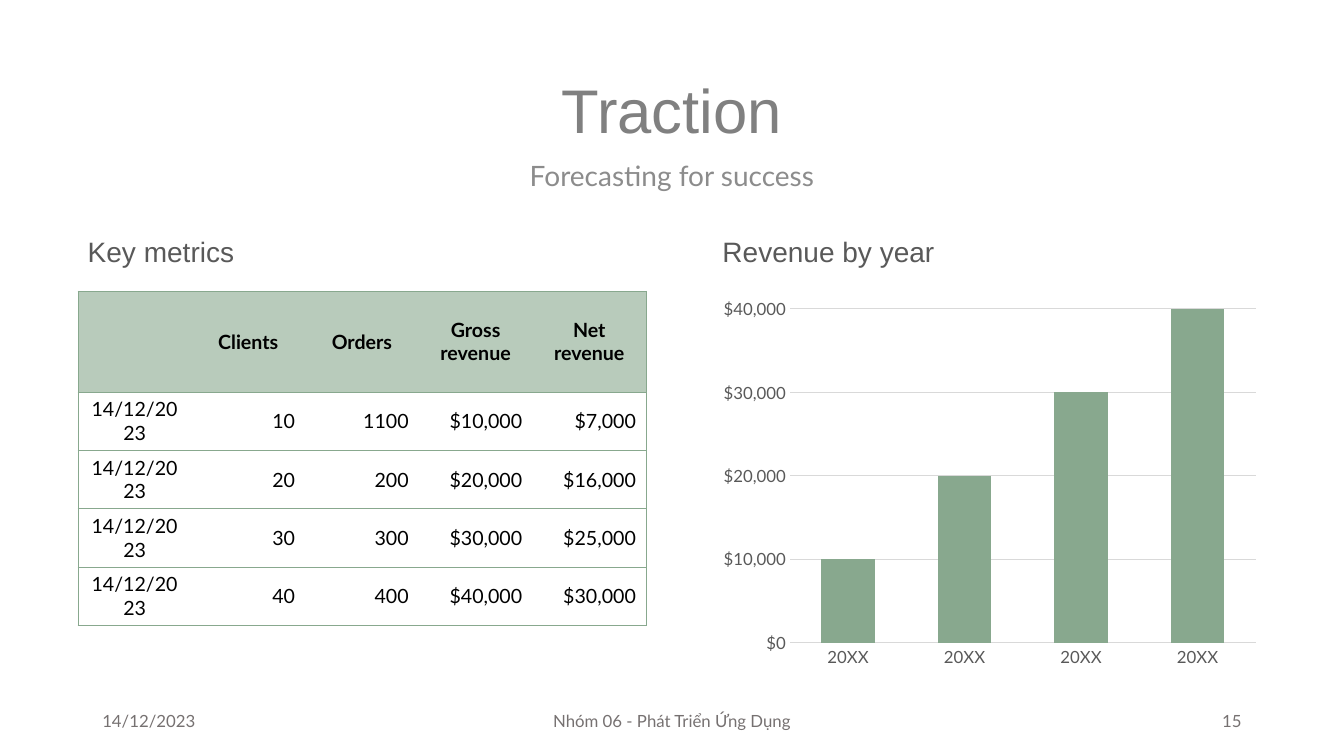
import pptx
import pptx.chart.data
import pptx.dml.color
import pptx.enum.chart
import pptx.enum.text
import pptx.oxml
import pptx.oxml.ns
import pptx.util

Pt = pptx.util.Pt
ALIGN = pptx.enum.text.PP_ALIGN
ANCHOR = pptx.enum.text.MSO_ANCHOR
TICK = pptx.enum.chart.XL_TICK_MARK
COLORS = {
    "title": "808080", "sub": "8C8C8C", "head": "595959", "foot": "767171",
    "green": "88A88E", "pale": "B8CBBB", "grid": "D9D9D9", "black": "000000",
}
DATE = "14/12/2023"
ROWS = [
    ["", "Clients", "Orders", "Gross revenue", "Net revenue"],
    [DATE, "10", "1100", "$10,000", "$7,000"],
    [DATE, "20", "200", "$20,000", "$16,000"],
    [DATE, "30", "300", "$30,000", "$25,000"],
    [DATE, "40", "400", "$40,000", "$30,000"],
]


def color(name):
    """Return the named colour."""
    return pptx.dml.color.RGBColor.from_string(COLORS[name])


def style(font, size, tint, face="Lato"):
    """Set the size, colour and face of a font."""
    font.size, font.name = Pt(size), face
    font.color.rgb = color(tint)


def label(slide, box, text, size, tint, face="Lato", align=ALIGN.LEFT,
          anchor=ANCHOR.MIDDLE, space=1.0):
    """Place one line of text in a box."""
    frame = slide.shapes.add_textbox(*map(Pt, box)).text_frame
    frame.word_wrap = True
    frame.vertical_anchor = anchor
    para = frame.paragraphs[0]
    para.alignment, para.line_spacing = align, space
    run = para.add_run()
    run.text = text
    style(run.font, size, tint, face)


def header(slide, box):
    """Place the title with its subtitle below."""
    left, top, width, height = box
    label(slide, (left, top, width, 104.4), "Traction", 44, "title", "Arial",
          ALIGN.CENTER, space=0.9)
    label(slide, (left, top + height - 36, width, 36),
          "Forecasting for success", 20, "sub", align=ALIGN.CENTER,
          anchor=ANCHOR.TOP, space=0.9)


def border(cell, sides):
    """Draw the given sides of a cell and clear the others."""
    props = cell._tc.get_or_add_tcPr()
    space = pptx.oxml.ns.nsdecls("a")
    for side in "LRTB":
        fill = (f'<a:solidFill><a:srgbClr val="{COLORS["green"]}"/></a:solidFill>'
                if side in sides else "<a:noFill/>")
        props.append(pptx.oxml.parse_xml(
            f'<a:ln{side} {space} w="{Pt(0.5)}">{fill}</a:ln{side}>'))


def metrics(slide, box):
    """Place the key metrics heading and table."""
    left, top, width, height = box
    label(slide, (left, top, 396, 36), "Key metrics", 20, "head", "Arial", space=0.9)
    count, last = len(ROWS), len(ROWS[0]) - 1
    high = height - 44.6
    table = slide.shapes.add_table(
        count, last + 1, *map(Pt, (left, top + 44.6, width, high))).table
    table.first_row = table.horz_banding = False
    for col in table.columns:
        col.width = Pt(width / (last + 1))
    for i, texts in enumerate(ROWS):
        table.rows[i].height = Pt(72 if i == 0 else (high - 72) / (count - 1))
        for j, text in enumerate(texts):
            cell = table.cell(i, j)
            border(cell, "TB" + "L" * (j == 0) + "R" * (j == last))
            cell.vertical_anchor = ANCHOR.MIDDLE
            if i == 0:
                cell.fill.solid()
                cell.fill.fore_color.rgb = color("pale")
            else:
                cell.fill.background()
            para = cell.text_frame.paragraphs[0]
            para.alignment = ALIGN.CENTER if i == 0 or j == 0 else ALIGN.RIGHT
            if text:
                run = para.add_run()
                run.text = text
                style(run.font, 14, "black")
                run.font.bold = i == 0


def revenue(slide, box):
    """Place the revenue heading and column chart."""
    left, top, width, height = box
    label(slide, (left, top, width, 36), "Revenue by year", 20, "head", "Arial",
          space=0.9)
    data = pptx.chart.data.CategoryChartData()
    data.categories = ["20XX"] * 4
    data.add_series("Series 1", [10000, 20000, 30000, 40000])
    chart = slide.shapes.add_chart(
        pptx.enum.chart.XL_CHART_TYPE.COLUMN_CLUSTERED,
        *map(Pt, (left, top + 44.6, width, height - 44.6)), data).chart
    chart.has_legend = chart.has_title = False
    style(chart.font, 10, "black")
    plot = chart.plots[0]
    plot.gap_width, plot.overlap, plot.vary_by_categories = 118, -3, False
    fill = plot.series[0].format.fill
    fill.solid()
    fill.fore_color.rgb = color("green")
    cats, vals = chart.category_axis, chart.value_axis
    for axis in (cats, vals):
        axis.major_tick_mark = axis.minor_tick_mark = TICK.NONE
        style(axis.tick_labels.font, 12, "head")
    vals.minimum_scale, vals.maximum_scale, vals.major_unit = 0, 40000, 10000
    vals.has_major_gridlines = True
    for line in (cats.format.line, vals.major_gridlines.format.line):
        line.color.rgb = color("grid")
        line.width = Pt(0.75)
    vals.format.line.fill.background()
    vals.tick_labels.number_format = "[$$-409]#,##0"
    vals.tick_labels.number_format_is_linked = False


def footer(slide, box):
    """Place the date, group name and slide number."""
    left, top, width, height = box
    parts = [
        (DATE, 216, 0, ALIGN.LEFT),
        ("Nhóm 06 - Phát Triển Ứng Dụng", 324, 0.5, ALIGN.CENTER),
        ("15", 216, 1, ALIGN.RIGHT),
    ]
    for text, wide, share, align in parts:
        label(slide, (left + (width - wide) * share, top, wide, height), text,
              12, "foot", align=align)


def main():
    """Build and save the slide."""
    deck = pptx.Presentation()
    deck.slide_width, deck.slide_height = Pt(960), Pt(540)
    slide = deck.slides.add_slide(deck.slide_layouts[6])
    header(slide, (66, 28.8, 828, 119.5))
    metrics(slide, (55.6, 163.4, 406, 283.2))
    revenue(slide, (509, 163.4, 396, 318.2))
    footer(slide, (66, 500.4, 828, 28.8))
    deck.save("out.pptx")


if __name__ == "__main__":
    main()
